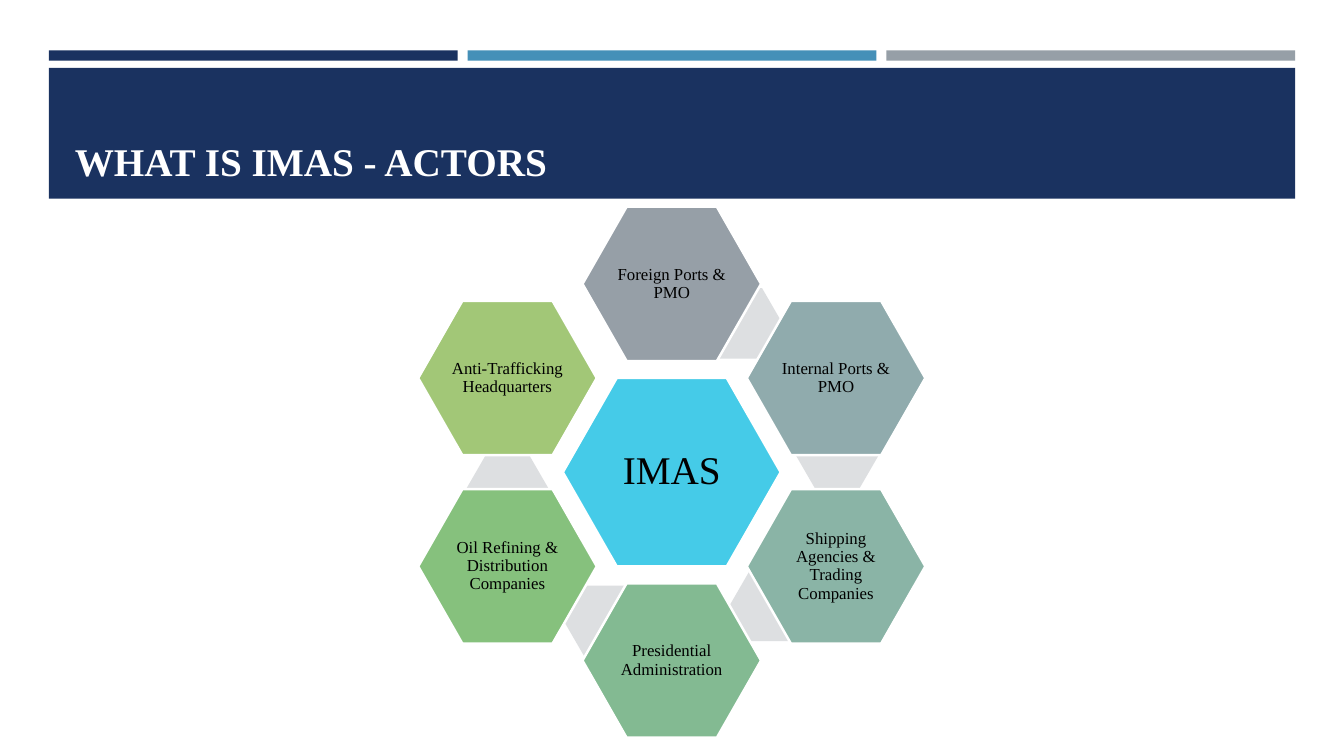
import dataclasses

import pptx
import pptx.dml.color
import pptx.enum.shapes
import pptx.enum.text
import pptx.util

Cm, Pt = pptx.util.Cm, pptx.util.Pt
SHAPES = pptx.enum.shapes.MSO_SHAPE
ANCHOR = pptx.enum.text.MSO_ANCHOR
ALIGN = pptx.enum.text.PP_ALIGN


@dataclasses.dataclass(frozen=True)
class Theme:
    font: str = "Times New Roman"
    navy: str = "1A3260"
    blue: str = "4590B8"
    grey: str = "969FA7"
    white: str = "FFFFFF"
    black: str = "000000"
    hub: str = "45CBE8"
    bridge: str = "DDDFE1"
    large: int = 28
    small: int = 12
    outline: float = 1.75


THEME = Theme()

# Label, fill, centre in grid steps from the hub
ACTORS = [
    ("Foreign Ports & PMO", THEME.grey, (0, -2)),
    ("Internal Ports & PMO", "90ABAD", (1, -1)),
    ("Shipping Agencies & Trading Companies", "8AB4A6", (1, 1)),
    ("Presidential Administration", "83BA92", (0, 2)),
    ("Oil Refining & Distribution Companies", "86C17D", (-1, 1)),
    ("Anti-Trafficking Headquarters", "A2C777", (-1, -1)),
]
# Bridge centres in cm from the hub; each lies behind the actor of the same rank
BRIDGES = [(1.75, -3.75), (4.17, -0.42), (2.49, 3.37), (-1.68, 3.75), (-4.14, 0.42), None]


def rgb(value):
    return pptx.dml.color.RGBColor.from_string(value)


def add_filled(slide, kind, box, color):
    shape = slide.shapes.add_shape(kind, *map(Cm, box))
    shape.shadow.inherit = False
    shape.fill.solid()
    shape.fill.fore_color.rgb = rgb(color)
    shape.line.fill.background()
    return shape


def add_run(paragraph, text, size, color, bold=False):
    run = paragraph.add_run()
    run.text = text
    run.font.name = THEME.font
    run.font.size = Pt(size)
    run.font.bold = bold
    run.font.color.rgb = rgb(color)


def add_hexagon(slide, centre, size, color, adjustment):
    box = (centre[0] - size[0] / 2, centre[1] - size[1] / 2, *size)
    hexagon = add_filled(slide, SHAPES.HEXAGON, box, color)
    hexagon.adjustments[0] = adjustment
    return hexagon


def add_actor(slide, centre, size, color, label, text_size, inset):
    hexagon = add_hexagon(slide, centre, size, color, 0.286)
    hexagon.line.color.rgb = rgb(THEME.white)
    hexagon.line.width = Pt(THEME.outline)
    frame = hexagon.text_frame
    frame.word_wrap = True
    frame.vertical_anchor = ANCHOR.MIDDLE
    frame.margin_left = frame.margin_right = Cm(inset)
    frame.margin_top = frame.margin_bottom = Cm(inset)
    paragraph = frame.paragraphs[0]
    paragraph.alignment = ALIGN.CENTER
    paragraph.line_spacing = 0.9
    add_run(paragraph, label, text_size, THEME.black)


def build_header(slide, left, top, width, height):
    # Three accent bars
    gap, bar_height = 0.25, 0.26
    bar_width = (width - 2 * gap) / 3
    for index, color in enumerate((THEME.navy, THEME.blue, THEME.grey)):
        bar_left = left + index * (bar_width + gap)
        add_filled(slide, SHAPES.RECTANGLE, (bar_left, top, bar_width, bar_height), color)

    # Title band
    band_top = top + 0.44
    band = add_filled(slide, SHAPES.RECTANGLE,
                      (left, band_top, width, height - 0.44), THEME.navy)

    # Title, brought in front of its band
    title = slide.shapes.title
    band.element.addnext(title.element)
    title.left, title.top = Cm(left + 0.4), Cm(band_top + 0.25)
    title.width, title.height = Cm(width - 0.8), Cm(2.82)
    frame = title.text_frame
    frame.word_wrap = True
    frame.auto_size = pptx.enum.text.MSO_AUTO_SIZE.NONE
    frame.vertical_anchor = ANCHOR.BOTTOM
    paragraph = frame.paragraphs[0]
    paragraph.alignment = ALIGN.LEFT
    add_run(paragraph, "WHAT IS IMAS - ACTORS", THEME.large, THEME.white, bold=True)


def build_actor_ring(slide, left, top, width, height):
    actor_size, hub_size, bridge_size = (4.5, 3.89), (5.49, 4.75), (2.08, 1.78)
    hub_x, hub_y = left + width / 2, top + height / 2
    step_x = (width - actor_size[0]) / 2
    step_y = (height - actor_size[1]) / 4

    # Hub
    add_actor(slide, (hub_x, hub_y), hub_size, THEME.hub, "IMAS", THEME.large, 0.1)

    # Actors, each over its bridge
    for (label, color, (column, row)), bridge in zip(ACTORS, BRIDGES):
        if bridge:
            centre = (hub_x + bridge[0], hub_y + bridge[1])
            add_hexagon(slide, centre, bridge_size, THEME.bridge, 0.289)
        centre = (hub_x + column * step_x, hub_y + row * step_y)
        add_actor(slide, centre, actor_size, color, label, THEME.small, 0.05)


def main():
    presentation = pptx.Presentation()
    presentation.slide_width, presentation.slide_height = Cm(33.87), Cm(19.05)
    slide = presentation.slides.add_slide(presentation.slide_layouts[5])
    build_header(slide, 1.23, 1.27, 31.41, 3.74)
    build_actor_ring(slide, 10.54, 5.21, 12.78, 13.38)
    presentation.save("out.pptx")


if __name__ == "__main__":
    main()
